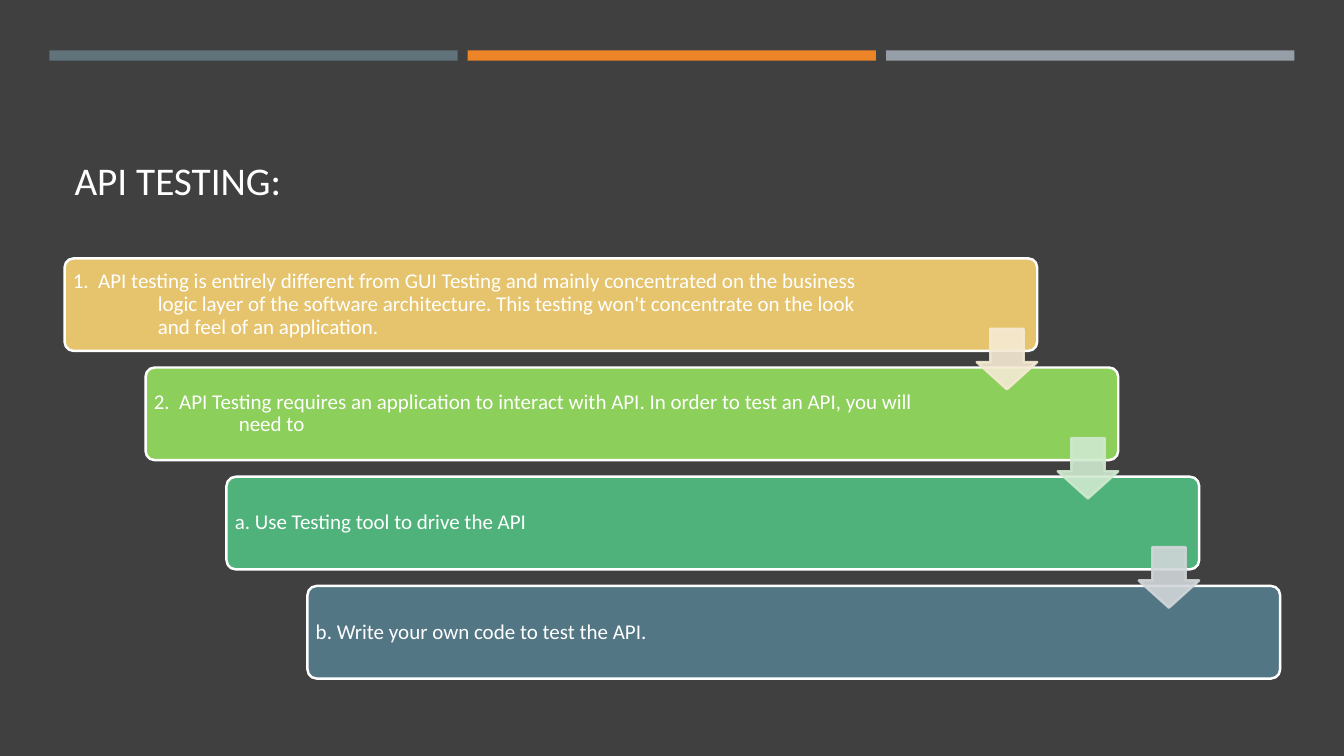
from lxml import etree
from pptx import Presentation
from pptx import util as u
from pptx.dml.color import RGBColor
from pptx.enum import shapes, text
from pptx.oxml import ns

Pt = u.Pt
FONT = "Calibri"
COLORS = {
    "background": "404040",
    "white": "FFFFFF",
    "slate": "60727A",
    "orange": "ED8428",
    "grey": "969FA7",
    "sand": "E6C46D",
    "lime": "8CCF5B",
    "green": "4FB27B",
    "blue": "537685",
    "pale_sand": "F5EAD4",
    "pale_lime": "D0E9D0",
    "pale_grey": "D1D6D9",
}
STEPS = [
    ("1.\u00a0 API testing is entirely different from GUI Testing and mainly concentrated on the business\v"
     "logic layer of the software architecture. This testing won't concentrate on the look\v"
     "and feel of an application.", "sand", "pale_sand"),
    ("2.\u00a0 API Testing requires an application to interact with API. In order to test an API, you will\v"
     "need to", "lime", "pale_lime"),
    ("a. Use Testing tool to drive the API", "green", "pale_grey"),
    ("b. Write your own code to test the API.", "blue", None),
]


def rgb(name):
    return RGBColor.from_string(COLORS[name])


def add_block(slide, preset, box, fill, line=None):
    block = slide.shapes.add_shape(preset, *(Pt(length) for length in box))
    block.shadow.inherit = False
    block.fill.solid()
    block.fill.fore_color.rgb = rgb(fill)
    if line:
        block.line.color.rgb = rgb(line)
        block.line.width = Pt(1.75)
    else:
        block.line.fill.background()
    return block


def format_text(frame, size, anchor):
    frame.word_wrap = True
    frame.auto_size = text.MSO_AUTO_SIZE.NONE
    frame.vertical_anchor = anchor
    for paragraph in frame.paragraphs:
        paragraph.alignment = text.PP_ALIGN.LEFT
        paragraph.line_spacing = 0.9
        for run in paragraph.runs:
            run.font.name = FONT
            run.font.size = Pt(size)
            run.font.color.rgb = rgb("white")


def add_accent_bars(slide, left, top, width, height):
    gap = 7.2
    bar_width = (width - 2 * gap) / 3
    for column, color in enumerate(("slate", "orange", "grey")):
        bar_left = left + column * (bar_width + gap)
        add_block(slide, shapes.MSO_SHAPE.RECTANGLE, (bar_left, top, bar_width, height), color)


def add_heading(slide, left, top, width, height):
    heading = slide.shapes.title
    heading.left, heading.top = Pt(left), Pt(top)
    heading.width, heading.height = Pt(width), Pt(height)
    heading.text_frame.text = "API TESTING:"
    format_text(heading.text_frame, 28, text.MSO_ANCHOR.BOTTOM)


def add_step(slide, wording, color, box):
    step = add_block(slide, shapes.MSO_SHAPE.ROUNDED_RECTANGLE, box, color, "white")
    step.adjustments[0] = 0.1
    frame = step.text_frame
    frame.text = wording
    format_text(frame, 15, text.MSO_ANCHOR.MIDDLE)
    frame.margin_left = frame.margin_right = Pt(4)
    frame.margin_top = frame.margin_bottom = Pt(4)
    hanging = frame.paragraphs[0]._p.get_or_add_pPr()
    hanging.set("marL", str(Pt(60.7)))
    hanging.set("indent", str(-Pt(60.7)))


def add_step_arrow(slide, color, box):
    arrow = add_block(slide, shapes.MSO_SHAPE.DOWN_ARROW, box, color, color)
    arrow.adjustments[0] = 0.55
    arrow.adjustments[1] = 0.45
    for tint in arrow._element.spPr.iter(ns.qn("a:srgbClr")):
        etree.SubElement(tint, ns.qn("a:alpha"), val="90000")


def add_staircase(slide, left, top, width, height):
    step_width, step_height, arrow_size = 694.8, 66.2, 43.2
    shift = (width - step_width) / (len(STEPS) - 1)
    drop = (height - step_height) / (len(STEPS) - 1)
    corners = [(left + row * shift, top + row * drop) for row in range(len(STEPS))]
    for (wording, color, _), corner in zip(STEPS, corners):
        add_step(slide, wording, color, (*corner, step_width, step_height))
    for (_, _, tint), (step_left, step_top) in zip(STEPS, corners):
        if tint:
            arrow_left = step_left + step_width - arrow_size
            add_step_arrow(slide, tint, (arrow_left, step_top + 50.4, arrow_size, arrow_size))


def add_api_testing_slide(deck):
    slide = deck.slides.add_slide(deck.slide_layouts[5])
    slide.background.fill.solid()
    slide.background.fill.fore_color.rgb = rgb("background")
    add_heading(slide, 46.1, 55.4, 868.3, 94)
    add_accent_bars(slide, 35.2, 36, 889.4, 7.4)
    add_staircase(slide, 46.1, 184.5, 868.3, 300.2)


def main():
    deck = Presentation()
    deck.slide_width, deck.slide_height = Pt(960), Pt(540)
    add_api_testing_slide(deck)
    deck.save("out.pptx")


if __name__ == "__main__":
    main()
